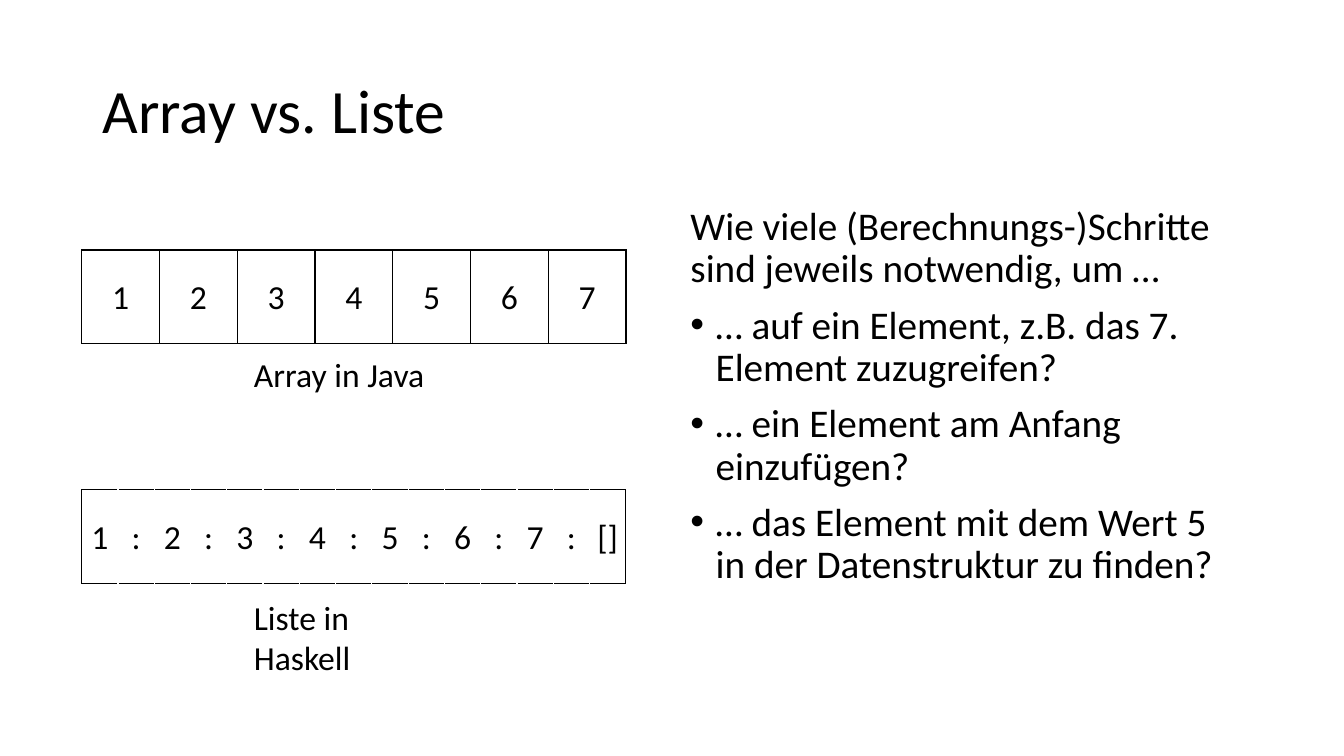
from lxml import etree
from pptx import Presentation
from pptx.dml.color import RGBColor
from pptx.enum.text import MSO_ANCHOR, PP_ALIGN
from pptx.oxml.ns import qn
from pptx.util import Inches, Pt

MIDDLE = MSO_ANCHOR.MIDDLE
CENTER = PP_ALIGN.CENTER
COLORS = {"ink": "000000", "paper": "FFFFFF"}
FONT = "Calibri"


def style(par, size):
    font = par.font
    font.name = FONT
    font.size = Pt(size)
    font.color.rgb = RGBColor.from_string(COLORS["ink"])


def add_text(slide, box, text, size, wrap=True):
    frame = slide.shapes.add_textbox(*map(Inches, box)).text_frame
    frame.word_wrap = wrap
    par = frame.paragraphs[0]
    par.text = text
    style(par, size)
    return frame


def add_bullet(par):
    props = par._p.get_or_add_pPr()
    props.set("marL", str(Inches(0.25)))
    props.set("indent", str(Inches(-0.25)))
    etree.SubElement(props, qn("a:buFont")).set("typeface", "Arial")
    etree.SubElement(props, qn("a:buChar")).set("char", "•")


def add_border(cell, side, color):
    line = etree.SubElement(cell._tc.get_or_add_tcPr(), qn("a:ln" + side))
    line.set("w", str(Pt(0.96)))
    fill = etree.SubElement(line, qn("a:solidFill"))
    etree.SubElement(fill, qn("a:srgbClr")).set("val", COLORS[color])


def add_row(slide, box, items, inner):
    """Draw one row of equal cells, with inner as the colour of its dividers."""
    table = slide.shapes.add_table(1, len(items), *map(Inches, box)).table
    table.first_row = table.horz_banding = False
    last = len(items) - 1
    for i, item in enumerate(items):
        table.columns[i].width = Inches(box[2] / len(items))
        cell = table.cell(0, i)
        cell.vertical_anchor = MIDDLE
        cell.margin_left = cell.margin_right = Inches(0.07)
        cell.margin_top = cell.margin_bottom = Inches(0.05)
        add_border(cell, "L", "ink" if i == 0 else inner)
        add_border(cell, "R", "ink" if i == last else inner)
        add_border(cell, "T", "ink")
        add_border(cell, "B", "ink")
        cell.fill.background()
        par = cell.text_frame.paragraphs[0]
        par.text = item
        par.alignment = CENTER
        par.line_spacing = 1.07
        par.space_after = Pt(8)
        style(par, 24)


def add_title(slide, box, text):
    frame = add_text(slide, box, text, 44)
    frame.vertical_anchor = MIDDLE
    frame.paragraphs[0].line_spacing = 0.9


def add_tasks(slide, box, lead, tasks):
    frame = add_text(slide, box, lead, 28)
    frame.paragraphs[0].line_spacing = 0.9
    for task in tasks:
        par = frame.add_paragraph()
        par.text = task
        add_bullet(par)
        par.line_spacing = 0.9
        par.space_before = Pt(10)
        style(par, 28)


def add_figure(slide, box, items, inner, label, gap):
    """Place a row of cells with its label below."""
    left, top, width, height = box
    add_row(slide, box, items, inner)
    spot = (left + 1.61, top + height + gap, 2.17, 0.5)
    add_text(slide, spot, label, 24, wrap=False)


def main():
    deck = Presentation()
    deck.slide_width, deck.slide_height = Inches(13.33), Inches(7.5)
    slide = deck.slides.add_slide(deck.slide_layouts[6])
    nums = list("1234567")
    chain = " : ".join(nums + ["[]"]).split()
    add_title(slide, (0.92, 0.4, 11.5, 1.45), "Array vs. Liste")
    add_figure(slide, (0.81, 2.48, 5.4, 0.93), nums, "ink",
               "Array in Java", 0.05)
    add_figure(slide, (0.81, 4.86, 5.4, 0.93), chain, "paper",
               "Liste in Haskell", 0.08)
    add_tasks(slide, (6.75, 2, 5.67, 4.76),
              "Wie viele (Berechnungs-)Schritte sind jeweils notwendig, um …",
              ["… auf ein Element, z.B. das 7. Element zuzugreifen?",
               "… ein Element am Anfang einzufügen?",
               "… das Element mit dem Wert 5 in der Datenstruktur zu finden?"])
    deck.save("out.pptx")


if __name__ == "__main__":
    main()
